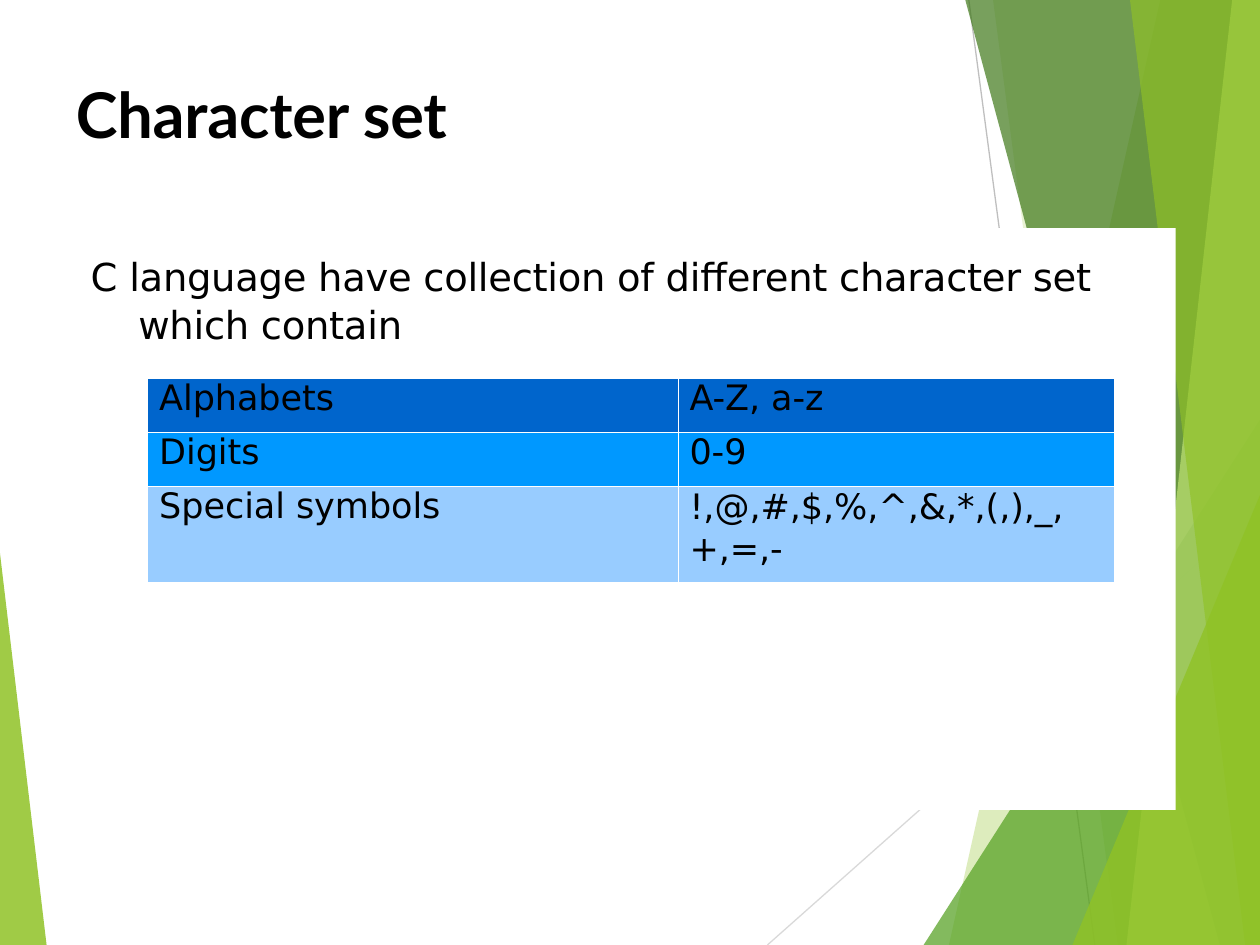
from lxml import etree
from pptx import Presentation
from pptx.dml.color import RGBColor
from pptx.enum.shapes import MSO_CONNECTOR, MSO_SHAPE
from pptx.oxml.ns import qn
from pptx.util import Cm, Pt

STRAIGHT = MSO_CONNECTOR.STRAIGHT
TRIANGLE = MSO_SHAPE.ISOSCELES_TRIANGLE
RECTANGLE = MSO_SHAPE.RECTANGLE

WIDTH, HEIGHT = 25.4, 19.05
GREEN, WHITE, BLACK = "90C226", "FFFFFF", "000000"
TITLE_FONT, BODY_FONT = "Lato", "DejaVu Sans"

ROWS = [
    ("0065CC", "Alphabets", "A-Z, a-z"),
    ("0098FF", "Digits", "0-9"),
    ("98CCFF", "Special symbols", "!,@,#,$,%,^,&,*,(,),_,\n+,=,-"),
]


def color(hex_text):
    return RGBColor.from_string(hex_text)


def paint(shape, fill, opacity=100):
    """Give a shape a flat fill, with opacity in percent, and no outline."""
    shape.shadow.inherit = False
    shape.line.fill.background()
    shape.fill.solid()
    shape.fill.fore_color.rgb = color(fill)
    if opacity < 100:
        tint = shape.fill._xPr.find(".//" + qn("a:srgbClr"))
        etree.SubElement(tint, qn("a:alpha"), val=str(opacity * 1000))


def format_para(para, size, font, bold=False, spacing=-0.1, indent=0, first=0):
    """Format the runs; indent and first (the first line's offset) are in cm."""
    properties = para._p.get_or_add_pPr()
    properties.set("marL", str(Cm(indent)))
    properties.set("indent", str(Cm(first)))
    for span in para.runs:
        span.font.size = Pt(size)
        span.font.name = font
        span.font.bold = bold
        span.font.color.rgb = color(BLACK)
        span._r.get_or_add_rPr().set("spc", str(round(spacing * 100)))


def outline_cell(cell, width):
    properties = cell._tc.get_or_add_tcPr()
    for index, side in enumerate(("lnL", "lnR", "lnT", "lnB")):
        border = etree.Element(qn("a:" + side), w=str(Pt(width)))
        fill = etree.SubElement(border, qn("a:solidFill"))
        etree.SubElement(fill, qn("a:srgbClr"), val=WHITE)
        properties.insert(index, border)


class SlideBuilder:
    def __init__(self, page):
        self.shapes = page.shapes

    def line(self, x1, y1, x2, y2, stroke):
        line = self.shapes.add_connector(STRAIGHT, Cm(x1), Cm(y1), Cm(x2), Cm(y2))
        line.line.color.rgb = color(stroke)
        line.line.width = Pt(0.75)
        etree.SubElement(line._element.spPr, qn("a:effectLst"))

    def band(self, top_x, bottom_x, fill, opacity):
        """Full-height band from a slanted left edge to the right of the slide."""
        builder = self.shapes.build_freeform(Cm(top_x), 0)
        corners = [(WIDTH, 0), (WIDTH, HEIGHT), (bottom_x, HEIGHT)]
        builder.add_line_segments([(Cm(x), Cm(y)) for x, y in corners])
        paint(builder.convert_to_shape(), fill, opacity)

    def triangle(self, left, top, width, apex, fill, opacity):
        """Triangle standing on the bottom edge; apex is 0 (left) to 1 (right)."""
        shape = self.shapes.add_shape(
            TRIANGLE, Cm(left), Cm(top), Cm(width), Cm(HEIGHT - top))
        shape.adjustments[0] = apex
        paint(shape, fill, opacity)

    def panel(self, left, top, width, height):
        paint(self.shapes.add_shape(
            RECTANGLE, Cm(left), Cm(top), Cm(width), Cm(height)), WHITE)

    def text(self, left, top, width, height, words, line_spacing=1.0, **style):
        box = self.shapes.add_textbox(Cm(left), Cm(top), Cm(width), Cm(height))
        frame = box.text_frame
        frame.word_wrap = True
        frame.margin_left = frame.margin_right = 0
        frame.margin_top = frame.margin_bottom = 0
        frame.text = words
        para = frame.paragraphs[0]
        para.line_spacing = line_spacing
        format_para(para, **style)

    def table(self, left, top, widths, heights, rows):
        table = self.shapes.add_table(
            len(rows), len(widths), Cm(left), Cm(top),
            Cm(sum(widths)), Cm(sum(heights))).table
        table.first_row = table.horz_banding = False
        for column, width in zip(table.columns, widths):
            column.width = Cm(width)
        for r, (fill, *texts) in enumerate(rows):
            table.rows[r].height = Cm(heights[r])
            for c, words in enumerate(texts):
                self.fill_cell(table.cell(r, c), words, fill)

    def fill_cell(self, cell, words, fill):
        cell.margin_left = cell.margin_right = 0
        cell.margin_top = cell.margin_bottom = 0
        cell.fill.solid()
        cell.fill.fore_color.rgb = color(fill)
        outline_cell(cell, 0.15)
        cell.text_frame.text = words
        paras = cell.text_frame.paragraphs
        for para in paras:
            format_para(para, 20, BODY_FONT, spacing=-0.05, indent=0.24)
            if len(paras) > 1:
                para.line_spacing = Pt(23.8)


def main():
    deck = Presentation()
    deck.slide_width, deck.slide_height = Cm(WIDTH), Cm(HEIGHT)
    slide = SlideBuilder(deck.slides.add_slide(deck.slide_layouts[6]))

    slide.line(19.53, 0, 22.07, HEIGHT, "BFBFBF")
    slide.line(WIDTH, 10.24, 15.47, HEIGHT, "D9D9D9")
    slide.band(23.39, 19.13, GREEN, 30)
    slide.band(20.02, 22.53, GREEN, 20)
    slide.triangle(18.62, 8.46, 6.78, 1, "54A021", 72)
    slide.band(19.46, 24.59, "3F7819", 70)
    slide.band(24.84, 22.71, "C0E474", 70)
    slide.band(22.78, 25.1, GREEN, 65)
    slide.triangle(21.62, 9.98, 3.78, 1, GREEN, 80)
    slide.triangle(0, 11.15, 0.94, 0, GREEN, 85)

    slide.text(1.5, 1.52, 22.43, 1.7, "Character set",
               size=36, font=TITLE_FONT, bold=True, indent=0.03)
    slide.panel(1.8, 4.6, 21.9, 11.73)
    slide.text(1.8, 5.05, 20.55, 1.83,
               "C language have collection of different character set which contain",
               line_spacing=1.05, size=22, font=BODY_FONT, spacing=-0.13,
               indent=0.99, first=-0.96)
    slide.table(2.97, 7.62, (10.69, 8.79), (1.09, 1.09, 1.93), ROWS)

    deck.save("out.pptx")


if __name__ == "__main__":
    main()
